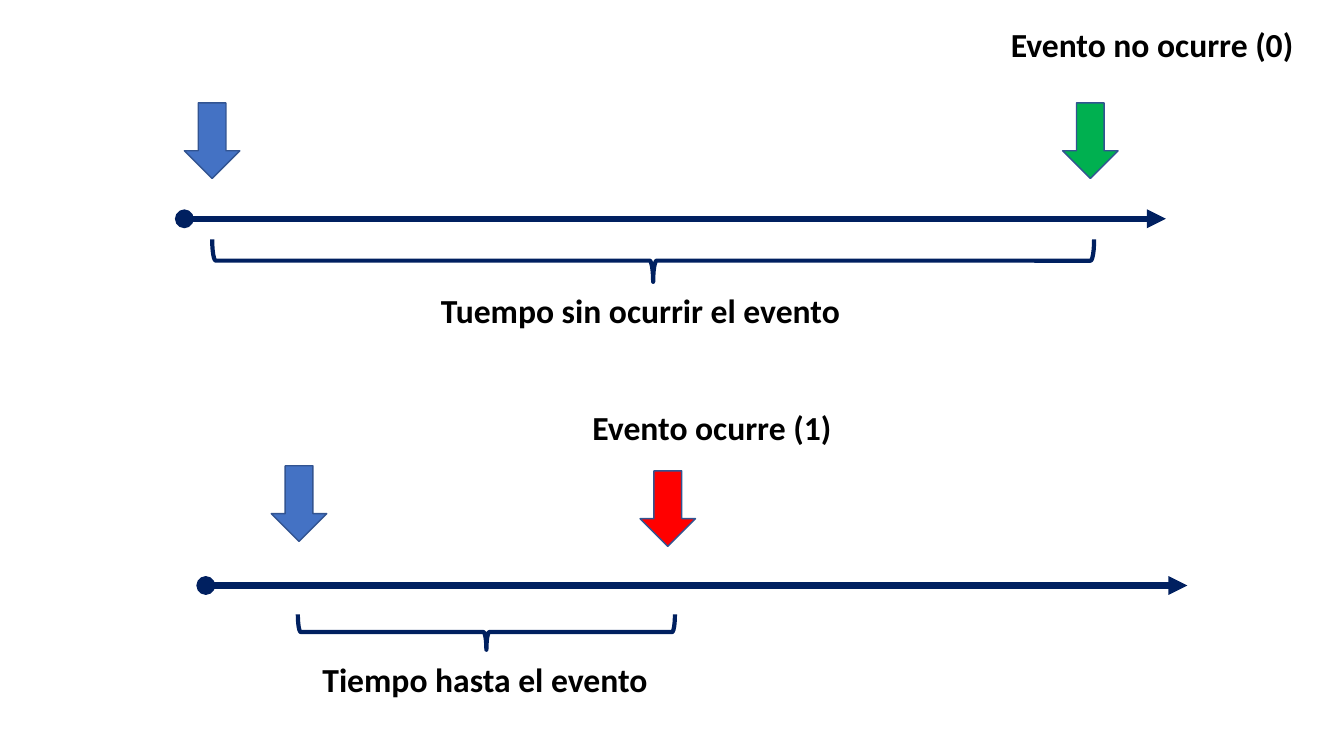
from dataclasses import dataclass

import pptx
import pptx.dml.color
import pptx.enum.shapes
import pptx.enum.text
import pptx.oxml.ns
import pptx.util
from lxml import etree

SHAPE = pptx.enum.shapes.MSO_SHAPE
ALIGN = pptx.enum.text.PP_ALIGN
COLUMNS, ROWS = 32, 18


@dataclass(frozen=True)
class Theme:
    font: str = "Calibri"
    label_size: int = 24
    text: str = "000000"
    navy: str = "002060"
    outline: str = "325491"
    start: str = "4472C4"
    occurred: str = "FF0000"
    not_occurred: str = "00B050"
    axis_weight: float = 4.5
    brace_weight: float = 3
    outline_weight: float = 1


def rgb(value):
    return pptx.dml.color.RGBColor.from_string(value)


class TimelineSlide:
    """Draws on one page; all lengths are columns and rows of its grid."""

    def __init__(self, deck, theme):
        self.theme = theme
        self.column = deck.slide_width / COLUMNS
        self.row = deck.slide_height / ROWS
        self.page = deck.slides.add_slide(deck.slide_layouts[6])

    def place(self, left, top, width, height):
        return (round(left * self.column), round(top * self.row),
                round(width * self.column), round(height * self.row))

    def stroke(self, shape, color, weight):
        shape.line.color.rgb = rgb(color)
        shape.line.width = pptx.util.Pt(weight)

    def axis(self, left, row, length):
        x, y, width, _ = self.place(left, row, length, 0)
        line = self.page.shapes.add_connector(
            pptx.enum.shapes.MSO_CONNECTOR.STRAIGHT, x, y, x + width, y)
        self.stroke(line, self.theme.navy, self.theme.axis_weight)
        qn = pptx.oxml.ns.qn
        outline = line.line._get_or_add_ln()
        etree.SubElement(outline, qn("a:headEnd"), type="oval")
        etree.SubElement(outline, qn("a:tailEnd"), type="triangle")
        etree.SubElement(line._element.spPr, qn("a:effectLst"))

    def marker(self, left, top, color):
        arrow = self.page.shapes.add_shape(
            SHAPE.DOWN_ARROW, *self.place(left, top, 1.32, 1.8))
        arrow.shadow.inherit = False
        arrow.fill.solid()
        arrow.fill.fore_color.rgb = rgb(color)
        self.stroke(arrow, self.theme.outline, self.theme.outline_weight)

    def brace(self, left, top, width, height):
        """Bracket the given area from below with a right brace turned a quarter."""
        x, y, span, depth = self.place(left, top, width, height)
        shift = (span - depth) // 2
        brace = self.page.shapes.add_shape(
            SHAPE.RIGHT_BRACE, x + shift, y - shift, depth, span)
        brace.rotation = 90
        brace.shadow.inherit = False
        brace.fill.background()
        self.stroke(brace, self.theme.navy, self.theme.brace_weight)

    def label(self, text, left, top, width, wrap=False, align=ALIGN.LEFT):
        box = self.page.shapes.add_textbox(*self.place(left, top, width, 1.2))
        frame = box.text_frame
        frame.word_wrap = wrap
        frame.auto_size = pptx.enum.text.MSO_AUTO_SIZE.SHAPE_TO_FIT_TEXT
        para = frame.paragraphs[0]
        para.text = text
        para.alignment = align
        para.font.name = self.theme.font
        para.font.size = pptx.util.Pt(self.theme.label_size)
        para.font.bold = True
        para.font.color.rgb = rgb(self.theme.text)


def main():
    deck = pptx.Presentation()
    deck.slide_width = pptx.util.Inches(13.33)
    deck.slide_height = pptx.util.Inches(7.5)
    theme = Theme()
    slide = TimelineSlide(deck, theme)

    slide.axis(4.39, 5.21, 23.37)
    slide.marker(4.39, 2.45, theme.start)
    slide.marker(25.3, 2.45, theme.not_occurred)
    slide.label("Evento no ocurre (0)", 23.83, 0.46, 7.27)
    slide.brace(5.05, 5.7, 21, 1.01)
    slide.label("Tuempo sin ocurrir el evento", 7.25, 6.79, 16,
                wrap=True, align=ALIGN.CENTER)

    slide.axis(4.9, 13.94, 23.37)
    slide.marker(6.46, 11.09, theme.start)
    slide.marker(15.24, 11.21, theme.occurred)
    slide.label("Evento ocurre (1)", 13.87, 9.58, 6.22)
    slide.brace(7.09, 14.63, 8.98, 0.84)
    slide.label("Tiempo hasta el evento", 7.44, 15.58, 8.3)

    deck.save("out.pptx")


if __name__ == "__main__":
    main()
